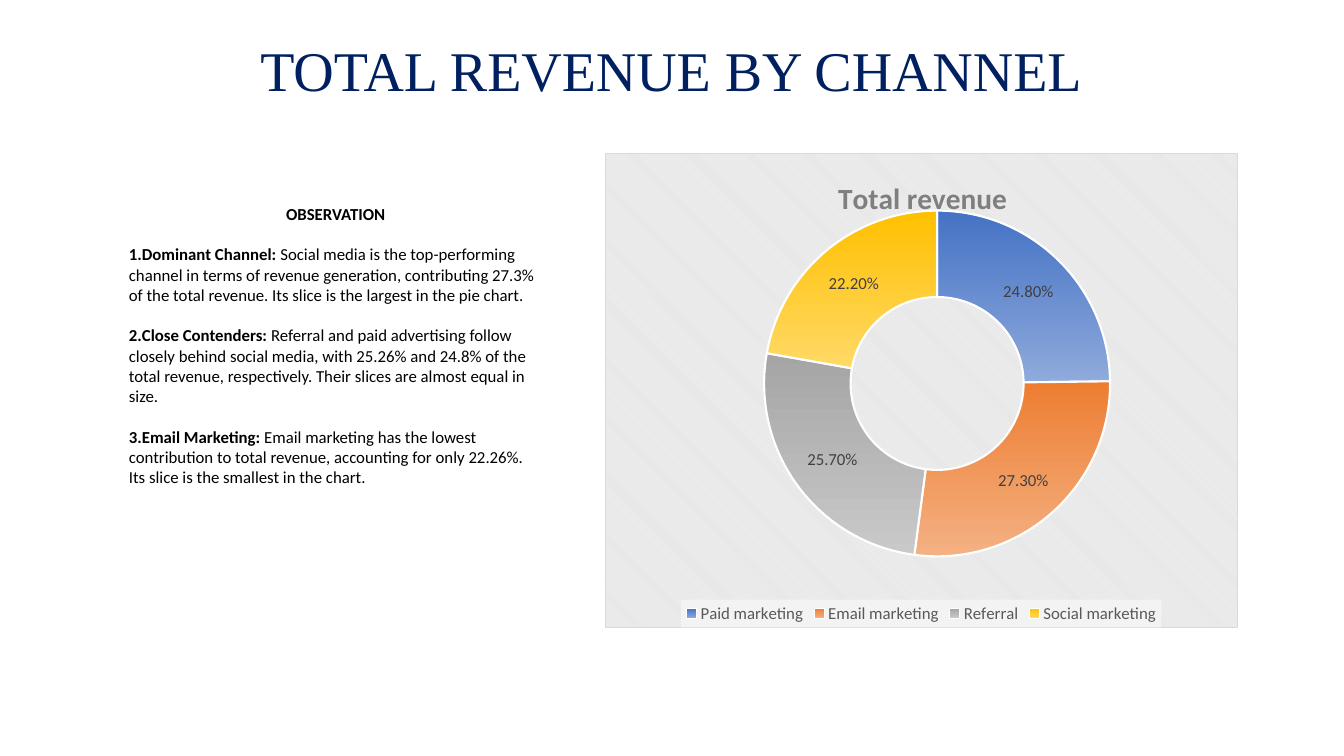
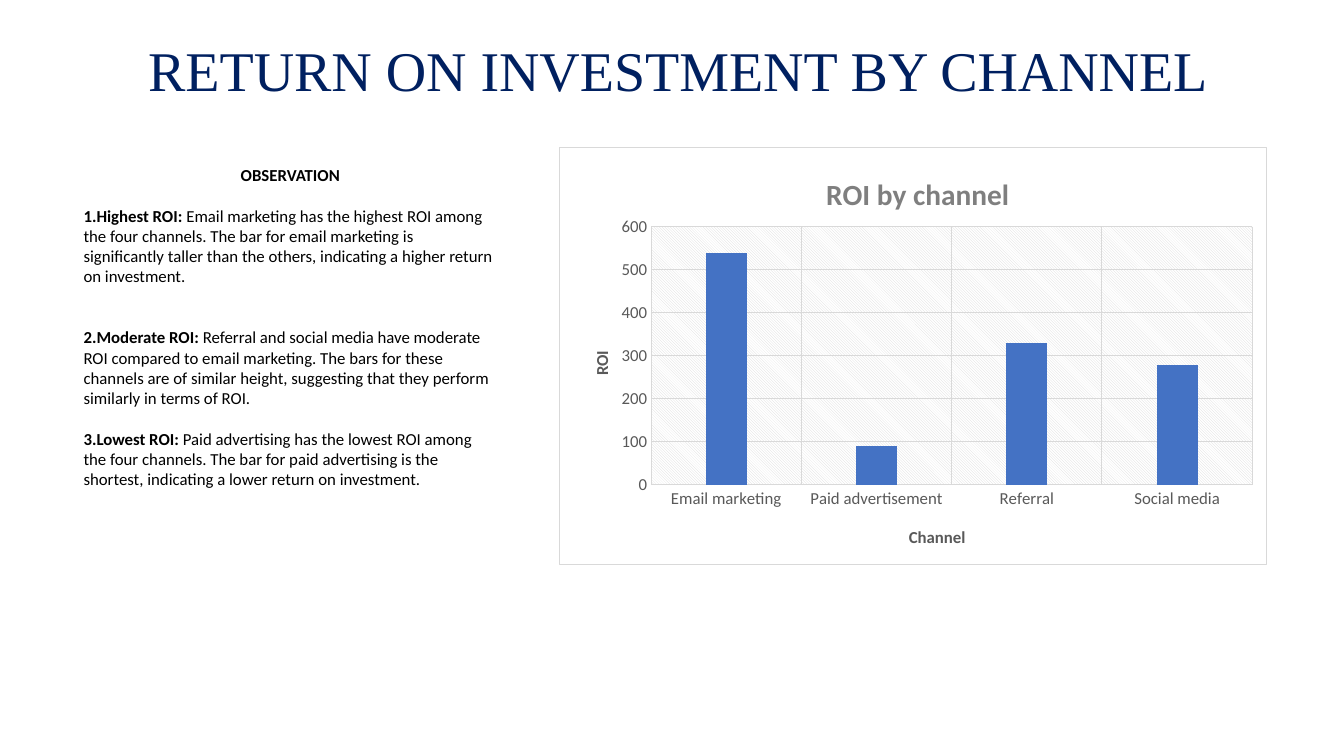
from lxml import etree
from pptx import Presentation
from pptx.chart.data import CategoryChartData
from pptx.dml.color import RGBColor
from pptx.enum.chart import XL_CHART_TYPE as CT, XL_LEGEND_POSITION as LP, XL_TICK_MARK as TICK
from pptx.enum.text import MSO_ANCHOR, MSO_AUTO_SIZE, PP_ALIGN
from pptx.oxml import parse_xml
from pptx.oxml.ns import nsdecls, qn
from pptx.util import Pt

NAVY = RGBColor(0x00, 0x20, 0x60)
BLACK = RGBColor(0x00, 0x00, 0x00)
WHITE = RGBColor(0xFF, 0xFF, 0xFF)
GRAY = RGBColor(0x59, 0x59, 0x59)
TITLE_GRAY = RGBColor(0x7F, 0x7F, 0x7F)
LABEL_GRAY = RGBColor(0x40, 0x40, 0x40)
RULE = RGBColor(0xD9, 0xD9, 0xD9)
PANEL = RGBColor(0xE6, 0xE6, 0xE6)
BLUE = RGBColor(0x44, 0x72, 0xC4)
SLICES = [
    (BLUE, RGBColor(0x8F, 0xAA, 0xDC)),
    (RGBColor(0xED, 0x7D, 0x31), RGBColor(0xF4, 0xB1, 0x83)),
    (RGBColor(0xA5, 0xA5, 0xA5), RGBColor(0xC9, 0xC9, 0xC9)),
    (RGBColor(0xFF, 0xC0, 0x00), RGBColor(0xFF, 0xD9, 0x66)),
]
BODY, HEAD = "Calibri", "Times New Roman"
LINE = 14.65

REVENUE = {
    "title": "TOTAL REVENUE BY CHANNEL",
    "notes_at": (85, 141.8, 309.6, 211),
    "notes": [
        ("Dominant Channel:", " Social media is the top-performing channel in terms of revenue generation, contributing 27.3% of the total revenue. Its slice is the largest in the pie chart.", 1),
        ("Close Contenders:", " Referral and paid advertising follow closely behind social media, with 25.26% and 24.8% of the total revenue, respectively. Their slices are almost equal in size.", 1),
        ("Email Marketing:", " Email marketing has the lowest contribution to total revenue, accounting for only 22.26%. Its slice is the smallest in the chart.", 1),
    ],
    "kind": CT.DOUGHNUT,
    "chart_at": (432, 109.5, 452.2, 339.1),
    "chart_title": "Total revenue",
    "title_at": (0.36, 0.04),
    "plot_at": (0.25, 0.12, 0.55, 0.73),
    "cats": ["Paid marketing", "Email marketing", "Referral", "Social marketing"],
    "vals": [0.248, 0.273, 0.257, 0.222],
}
ROI = {
    "title": " RETURN ON INVESTMENT BY CHANNEL",
    "notes_at": (52.6, 114.2, 309.6, 240),
    "notes": [
        ("Highest ROI:", " Email marketing has the highest ROI among the four channels. The bar for email marketing is significantly taller than the others, indicating a higher return on investment.", 1),
        ("Moderate ROI:", " Referral and social media have moderate ROI compared to email marketing. The bars for these channels are of similar height, suggesting that they perform similarly in terms of ROI.", 2),
        ("Lowest ROI:", " Paid advertising has the lowest ROI among the four channels. The bar for paid advertising is the shortest, indicating a lower return on investment.", 1),
    ],
    "kind": CT.COLUMN_CLUSTERED,
    "chart_at": (399, 105.3, 506, 298),
    "chart_title": "ROI by channel",
    "title_at": (0.37, 0.05),
    "plot_at": (0.13, 0.19, 0.85, 0.62),
    "cats": ["Email marketing", "Paid advertisement", "Referral", "Social media"],
    "vals": [540, 90, 330, 280],
}


def style(font, size=12, color=BLACK, bold=False, name=BODY):
    font.size, font.bold, font.name = Pt(size), bold, name
    font.color.rgb = color


def write(p, text, **fmt):
    r = p.add_run()
    r.text = text
    style(r.font, **fmt)


def solid(color):
    return f'<a:solidFill><a:srgbClr val="{color}"/></a:solidFill>'


def pattern(name, fore, back):
    return (f'<a:pattFill prst="{name}"><a:fgClr><a:srgbClr val="{fore}"/></a:fgClr>'
            f'<a:bgClr><a:srgbClr val="{back}"/></a:bgClr></a:pattFill>')


def area(fill, line="<a:ln><a:noFill/></a:ln>"):
    return parse_xml(f'<c:spPr {nsdecls("c", "a")}>{fill}{line}</c:spPr>')


def place(el, *box):
    old = el.find(qn("c:layout"))
    if old is not None:
        el.remove(old)
    layout = parse_xml(f'<c:layout {nsdecls("c")}><c:manualLayout/></c:layout>')
    is_plot = el.tag == qn("c:plotArea")
    items = [("layoutTarget", "inner")] if is_plot else []
    items += [("xMode", "edge"), ("yMode", "edge"), *zip("xywh", box)]
    for tag, val in items:
        etree.SubElement(layout[0], qn(f"c:{tag}")).set("val", str(val))
    el.insert(0 if is_plot else 1, layout)


def title_chart_part(part, text, at, **fmt):
    write(part.text_frame.paragraphs[0], text, bold=True, **fmt)
    place(part.element, *at)


def add_title(slide, text):
    sp = slide.shapes.title
    sp.left, sp.top, sp.width, sp.height = map(Pt, (14.4, 19.4, 930, 60.5))
    sp.fill.solid()
    sp.fill.fore_color.rgb = WHITE
    tf = sp.text_frame
    tf.auto_size, tf.vertical_anchor = MSO_AUTO_SIZE.NONE, MSO_ANCHOR.MIDDLE
    p = tf.paragraphs[0]
    p.alignment = PP_ALIGN.CENTER
    write(p, text, size=40, color=NAVY, name=HEAD)


def add_notes(slide, box, notes):
    tf = slide.shapes.add_textbox(*map(Pt, box)).text_frame
    tf.word_wrap = True
    p = tf.paragraphs[0]
    p.alignment = PP_ALIGN.CENTER
    write(p, "OBSERVATION", bold=True)
    for lead, text, gap in notes:
        p = tf.add_paragraph()
        p.space_before = Pt(gap * LINE)
        pPr = p._p.get_or_add_pPr()
        pPr.set("marL", "0")
        pPr.set("indent", "0")
        etree.SubElement(pPr, qn("a:buFont")).set("typeface", "+mj-lt")
        etree.SubElement(pPr, qn("a:buAutoNum")).set("type", "arabicPeriod")
        write(p, lead, bold=True)
        write(p, text)


def add_chart(slide, d):
    data = CategoryChartData()
    data.categories = d["cats"]
    data.add_series("Series 1", d["vals"])
    chart = slide.shapes.add_chart(d["kind"], *map(Pt, d["chart_at"]), data).chart
    style(chart.font, size=10)
    chart.has_title = True
    title_chart_part(chart.chart_title, d["chart_title"], d["title_at"], size=21, color=TITLE_GRAY)
    place(chart.element.chart.plotArea, *d["plot_at"])
    return chart


def fill_chart(chart, fill):
    border = f'<a:ln w="9525">{solid(RULE)}</a:ln>'
    chart.element.chart.addnext(area(fill, border))


def format_doughnut(chart):
    fill_chart(chart, pattern("dkDnDiag", WHITE, PANEL))
    plot = chart.plots[0]
    for i, colors in enumerate(SLICES):
        fmt = plot.series[0].points[i].format
        fmt.fill.gradient()
        fmt.fill.gradient_angle = 270
        for stop, color in zip(fmt.fill.gradient_stops, colors):
            stop.color.rgb = color
        fmt.line.color.rgb = WHITE
        fmt.line.width = Pt(1.5)
    plot.has_data_labels = True
    labels = plot.data_labels
    labels.show_value, labels.show_percentage = True, False
    labels.number_format, labels.number_format_is_linked = "0.00%", False
    style(labels.font, color=LABEL_GRAY)
    chart.has_legend = True
    legend = chart.legend
    legend.position, legend.include_in_layout = LP.BOTTOM, False
    style(legend.font, color=GRAY)
    tint = area(solid(RGBColor(0xF3, 0xF3, 0xF3)))
    legend._element.find(qn("c:txPr")).addprevious(tint)


def format_columns(chart):
    fill_chart(chart, solid(WHITE))
    chart.has_legend = False
    plot = chart.plots[0]
    plot.gap_width, plot.overlap, plot.vary_by_categories = 267, -43, False
    fill = plot.series[0].format.fill
    fill.solid()
    fill.fore_color.rgb = BLUE
    cat, val = chart.category_axis, chart.value_axis
    for axis, name, at in ((cat, "Channel", (0.49, 0.9)), (val, "ROI", (0.04, 0.48))):
        axis.major_tick_mark = axis.minor_tick_mark = TICK.NONE
        axis.has_major_gridlines = True
        line = axis.major_gridlines.format.line
        line.color.rgb, line.width = RULE, Pt(0.75)
        style(axis.tick_labels.font, color=GRAY)
        title_chart_part(axis.axis_title, name, at, color=GRAY)
    cat.format.line.color.rgb, cat.format.line.width = RULE, Pt(0.75)
    val.format.line.fill.background()
    val.minimum_scale, val.maximum_scale, val.major_unit = 0, 600, 100
    next(val.axis_title.element.iter(qn("a:bodyPr"))).set("rot", "-5400000")
    chart.element.chart.plotArea.append(area(pattern("ltDnDiag", RULE, WHITE)))


def main():
    prs = Presentation()
    prs.slide_width, prs.slide_height = Pt(960), Pt(540)
    for d, finish in ((REVENUE, format_doughnut), (ROI, format_columns)):
        slide = prs.slides.add_slide(prs.slide_layouts[5])
        add_title(slide, d["title"])
        add_notes(slide, d["notes_at"], d["notes"])
        finish(add_chart(slide, d))
    prs.save("out.pptx")


if __name__ == "__main__":
    main()
